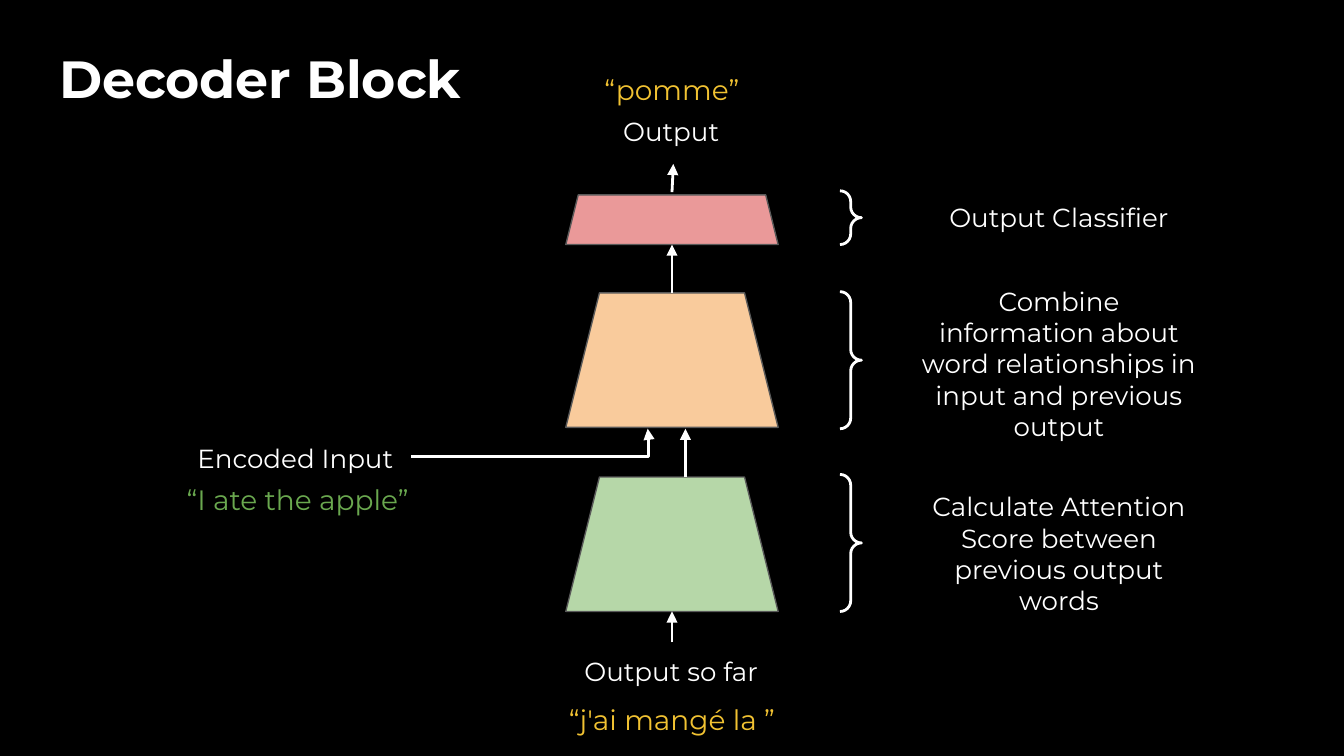
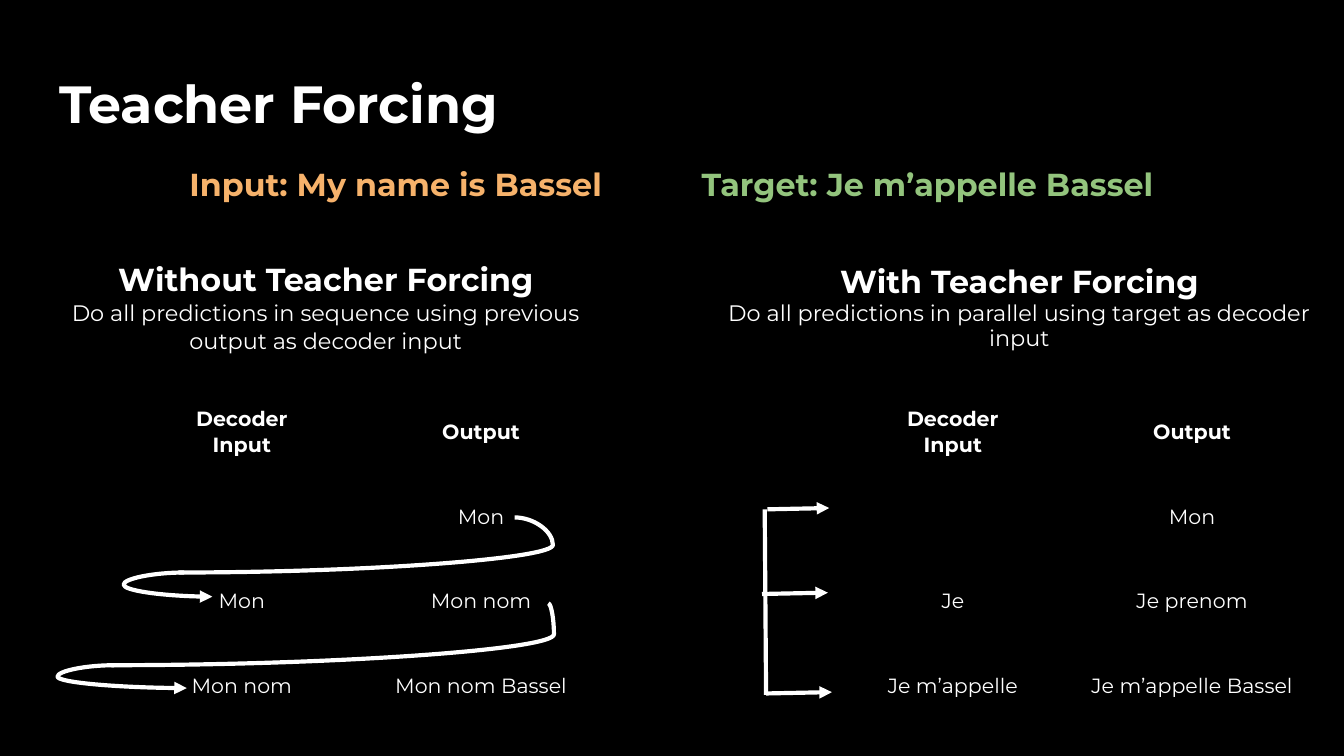
from lxml.etree import SubElement
from pptx import Presentation
from pptx.dml.color import RGBColor
from pptx.enum.shapes import MSO_CONNECTOR as CONN, MSO_SHAPE as SHAPE
from pptx.enum.text import MSO_ANCHOR as ANCHOR, MSO_AUTO_SIZE as FIT, PP_ALIGN as ALIGN
from pptx.oxml.ns import qn
from pptx.util import Inches, Pt

FONT = "Montserrat"
COLORS = {
    "black": "000000", "white": "FFFFFF", "outline": "595959",
    "green": "B6D7A8", "orange": "F9CB9C", "red": "EA9999",
    "source": "6AA84F", "result": "F1C232",
    "input": "F6B26B", "target": "93C47D",
}
WIDTH, HEIGHT = Inches(10), Inches(5.625)
COLS, ROWS = 100, 56.25


def rgb(name):
    return RGBColor.from_string(COLORS[name])


def X(col):
    return round(WIDTH * col / COLS)


def Y(row):
    return round(HEIGHT * row / ROWS)


def box(x, y, w, h):
    return X(x), Y(y), X(w), Y(h)


class Deck:
    def __init__(self):
        self.prs = Presentation()
        self.prs.slide_width, self.prs.slide_height = WIDTH, HEIGHT
        fill = self.prs.slide_master.background.fill
        fill.solid()
        fill.fore_color.rgb = rgb("black")
        self.s = None

    def slide(self, title, row):
        self.s = self.prs.slides.add_slide(self.prs.slide_layouts[5])
        sp = self.s.shapes.title
        sp.left, sp.top, sp.width, sp.height = box(3.4, row, 93.2, 6.3)
        sp.text_frame.text = title
        self.frame(sp.text_frame, FIT.NONE)
        self.style(sp.text_frame.paragraphs[0], 28, bold=True, align=ALIGN.LEFT, spacing=0.9)

    def frame(self, tf, fit):
        tf.word_wrap = True
        tf.auto_size = fit
        tf.vertical_anchor = ANCHOR.TOP
        tf.margin_left = tf.margin_right = X(1)
        tf.margin_top = tf.margin_bottom = Y(1)

    def style(self, p, size, color="white", bold=False, align=ALIGN.CENTER, spacing=None):
        p.alignment = align
        if spacing:
            p.line_spacing = spacing
        for r in p.runs:
            r.font.name, r.font.size, r.font.bold = FONT, Pt(size), bold
            r.font.color.rgb = rgb(color)

    def text(self, text, x, y, w, h, size=14, fit=FIT.SHAPE_TO_FIT_TEXT, **look):
        tf = self.s.shapes.add_textbox(*box(x, y, w, h)).text_frame
        self.frame(tf, fit)
        tf.text = text
        for p in tf.paragraphs:
            self.style(p, size, **look)
        return tf

    def shape(self, kind, x, y, w, h, adj, fill=None, line="white", weight=1.5):
        sp = self.s.shapes.add_shape(kind, *box(x, y, w, h))
        sp.shadow.inherit = False
        for i, value in enumerate(adj):
            sp.adjustments[i] = value
        if fill:
            sp.fill.solid()
            sp.fill.fore_color.rgb = rgb(fill)
        else:
            sp.fill.background()
        sp.line.color.rgb = rgb(line)
        sp.line.width = Pt(weight)

    def line(self, x1, y1, x2, y2, kind=CONN.STRAIGHT, adj=None, weight=1.5, arrow=True):
        c = self.s.shapes.add_connector(kind, X(x1), Y(y1), X(x2), Y(y2))
        c.line.color.rgb = rgb("white")
        c.line.width = Pt(weight)
        spPr = c.line._get_or_add_ln().getparent()
        if arrow:
            SubElement(c.line._get_or_add_ln(), qn("a:tailEnd"), type="triangle")
        SubElement(spPr, qn("a:effectLst"))
        if adj is not None:
            guides = spPr.find(qn("a:prstGeom")).find(qn("a:avLst"))
            SubElement(guides, qn("a:gd"), name="adj1", fmla=f"val {round(adj * 100000)}")

    def table(self, rows, x, y, col_w, row_h):
        n, m = len(rows), len(rows[0])
        t = self.s.shapes.add_table(n, m, *box(x, y, m * col_w, n * row_h)).table
        t.first_row = t.horz_banding = False
        for i, row in enumerate(rows):
            for j, value in enumerate(row):
                cell = t.cell(i, j)
                cell.vertical_anchor = ANCHOR.MIDDLE
                cell.margin_left = cell.margin_right = X(1)
                cell.margin_top = cell.margin_bottom = Y(1)
                tcPr = cell._tc.get_or_add_tcPr()
                for side in ("lnL", "lnR", "lnT", "lnB"):
                    SubElement(SubElement(tcPr, qn(f"a:{side}")), qn("a:noFill"))
                cell.fill.background()
                cell.text_frame.text = value
                for p in cell.text_frame.paragraphs:
                    self.style(p, 11, bold=i == 0)


def decoder_block(d):
    d.slide("Decoder Block", 3)

    # Stacked blocks, each with a brace and a label: (top, height)
    blocks = [
        ("green", (35.5, 10), (35.3, 10.2), (35.5, 11.4),
         "Calculate Attention Score between previous output words"),
        ("orange", (21.8, 10), (21.7, 10.2), (20.2, 13.8),
         "Combine information about word relationships in input and previous output"),
        ("red", (14.5, 3.7), (14.2, 4), (14, 4.4), "Output Classifier"),
    ]
    for fill, block, brace, label, words in blocks:
        d.shape(SHAPE.TRAPEZOID, 42.1, block[0], 15.8, block[1], [0.25], fill, "outline", 0.75)
        d.shape(SHAPE.RIGHT_BRACE, 62.5, brace[0], 1.6, brace[1], [0.5, 0.5])
        d.text(words, 67.6, label[0], 22.4, label[1])

    # Flow from bottom to top, with the encoder joining from the left
    for x1, y1, x2, y2 in [(50, 47.8, 50, 45.5), (51, 35.5, 51, 31.9),
                           (50, 21.8, 50, 18.2), (50, 14.3, 50.1, 12.2)]:
        d.line(x1, y1, x2, y2)
    d.line(30.6, 34, 48.2, 31.9, CONN.ELBOW, 1.005)

    # Names and examples of inputs and output
    d.text("Output so far", 40.6, 47.8, 18.7, 4.4)
    d.text("Output", 40.6, 7.6, 18.7, 4.4)
    d.text("Encoded Input", 13.7, 31.9, 16.9, 4.4, align=ALIGN.LEFT)
    d.text("“I ate the apple”", 11.4, 34.9, 21.5, 4.5, 15, color="source")
    d.text("“j'ai mangé la ”", 33.6, 51.3, 32.8, 4.5, 15, color="result")
    d.text("“pomme”", 33.6, 4.4, 32.8, 4.5, 15, color="result")


def teacher_forcing(d):
    d.slide("Teacher Forcing", 4.8)

    # Example sentence pair, split by a tab stop
    tf = d.text("", 6.7, 11.1, 86.6, 4.9, fit=FIT.NONE)
    tf.margin_left = X(7.4)
    p = tf.paragraphs[0]
    tabs = SubElement(p._p.get_or_add_pPr(), qn("a:tabLst"))
    SubElement(tabs, qn("a:tab"), pos=str(X(38.1)), algn="l")
    for words in ("Input: My name is Bassel\t", "Target: Je m’appelle Bassel"):
        p.add_run().text = words
    d.style(p, 17, "input", True, ALIGN.LEFT, 1.05)
    p.runs[1].font.color.rgb = rgb("target")

    # One column per method: heading, summary and predictions
    head = ["Decoder\nInput", "Output"]
    methods = [
        ((1.6, 18.2, 45.3, 10), 1.05, 9.1, "Without Teacher Forcing",
         "Do all predictions in sequence using previous output as decoder input",
         [["", "Mon"], ["Mon", "Mon nom"], ["Mon nom", "Mon nom Bassel"]]),
        ((53.2, 18.7, 45.3, 36), 0.95, 62, "With Teacher Forcing",
         "Do all predictions in parallel using target as decoder input",
         [["", "Mon"], ["Je", "Je prenom"], ["Je m’appelle", "Je m’appelle Bassel"]]),
    ]
    for place, spacing, table_x, name, summary, steps in methods:
        tf = d.text(f"{name}\n{summary}", *place, size=12, fit=FIT.NONE, spacing=spacing)
        d.style(tf.paragraphs[0], 17, bold=True)
        d.table([head] + steps, table_x, 29, 17.8, 6.3)

    # Outputs looping back as the next input
    loops = [(38.3, 38.5, 13.3, 42.6, -0.114, False), (13.7, 42.6, 15.8, 44.4, -2.148, True),
             (40.8, 44.9, 8.3, 49.5, -0.013, False), (8.5, 49.5, 13.9, 51.2, -0.781, True)]
    for x1, y1, x2, y2, adj, arrow in loops:
        d.line(x1, y1, x2, y2, CONN.CURVE, adj, 2.25, arrow)

    # Parallel inputs branching from one stem
    d.line(56.9, 37.9, 57, 51.7, weight=2.25, arrow=False)
    for x1, x2, y in [(57.1, 61.7, 37.9), (56.7, 61.6, 44.2), (57, 61.9, 51.6)]:
        d.line(x1, y, x2, y - 0.1, weight=2.25)


def main():
    d = Deck()
    decoder_block(d)
    teacher_forcing(d)
    d.prs.save("out.pptx")


if __name__ == "__main__":
    main()
